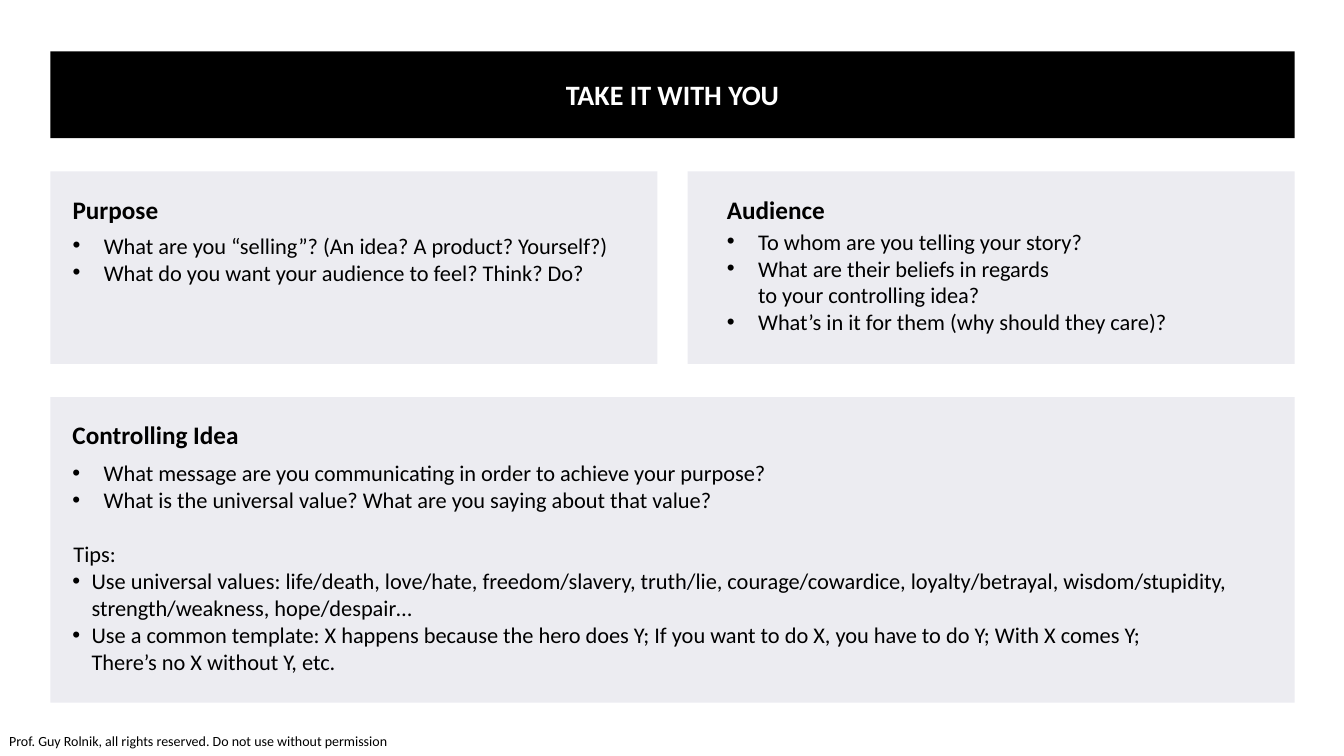
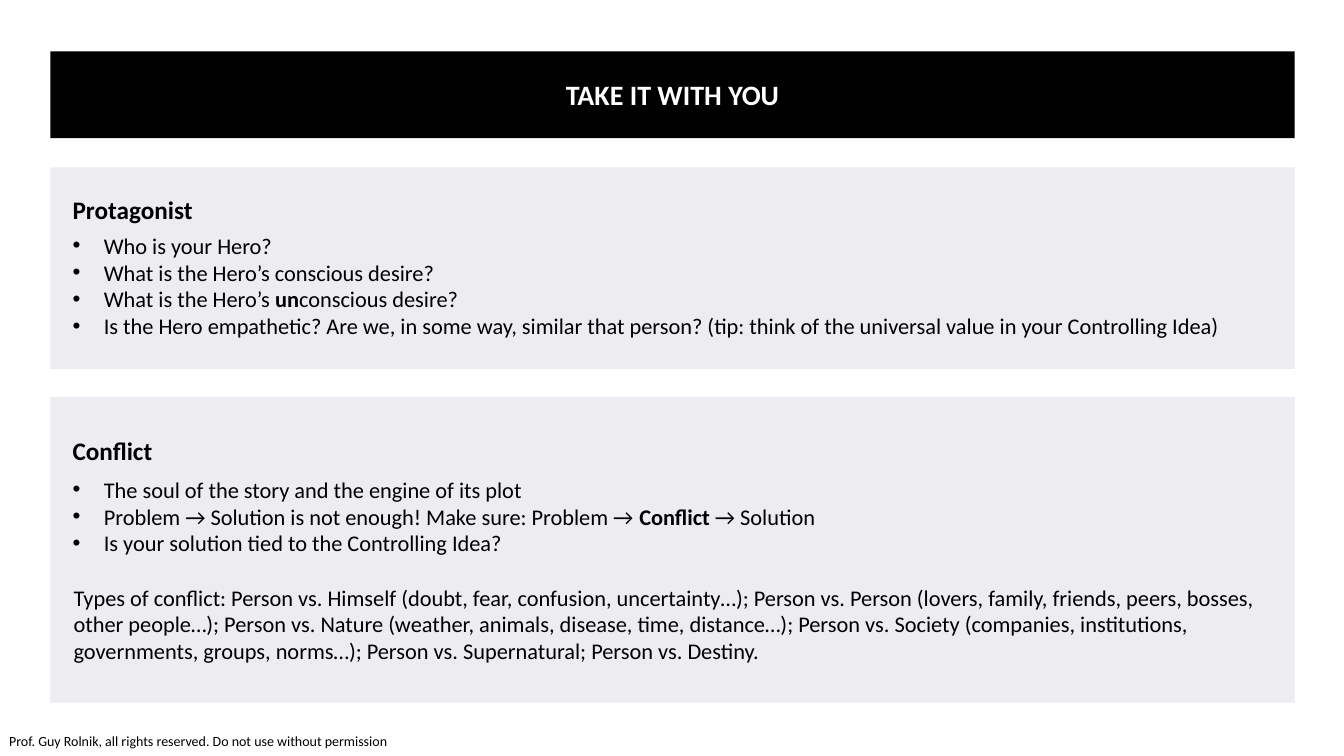
from copy import deepcopy
from dataclasses import dataclass

from lxml import etree
from pptx import Presentation
from pptx.dml.color import RGBColor
from pptx.enum.shapes import MSO_SHAPE
from pptx.enum.text import MSO_ANCHOR, MSO_AUTO_SIZE, PP_ALIGN
from pptx.oxml.ns import qn
from pptx.util import Inches, Pt

RECT = MSO_SHAPE.RECTANGLE
TOP, MIDDLE = MSO_ANCHOR.TOP, MSO_ANCHOR.MIDDLE
LEFT, CENTER = PP_ALIGN.LEFT, PP_ALIGN.CENTER
NO_FIT = MSO_AUTO_SIZE.NONE


@dataclass(frozen=True)
class Theme:
    font: str = "Calibri"
    black: RGBColor = RGBColor(0, 0, 0)
    white: RGBColor = RGBColor(255, 255, 255)
    navy: RGBColor = RGBColor(0x0E, 0x11, 0x54)
    panel_alpha: int = 8
    title: int = 20
    heading: int = 18
    body: int = 16
    footer: int = 10


@dataclass(frozen=True)
class ParaStyle:
    indent: float = 0
    bullet: str = ""
    before: float = 0
    align: PP_ALIGN = LEFT


@dataclass(frozen=True)
class Box:
    x: float
    y: float
    w: float
    h: float


@dataclass(frozen=True)
class Panel:
    box: Box
    heading: str
    items: list
    dx: float = 0.12
    dy: float = 0.18
    gap: float = 0.37


THEME = Theme()
PLAIN = ParaStyle()
CENTERED = ParaStyle(align=CENTER)
QUESTION = ParaStyle(0.31, "•")
TIP = ParaStyle(0.19, "•")
NOTE = ParaStyle(0.01, before=19.5)

MARGIN, FULL_W, GUTTER = 0.5, 12.34, 0.3
HALF_W = (FULL_W - GUTTER) / 2
TITLE_BOX = Box(MARGIN, 0.51, FULL_W, 0.86)
LOWER_BOX = Box(MARGIN, 3.94, FULL_W, 3.03)
FOOTER_BOX = Box(0.04, 7.22, 4.49, 0.27)
TITLE = "TAKE IT WITH YOU"
FOOTER = "Prof. Guy Rolnik, all rights reserved. Do not use without permission"


def place(sp, box):
    sp.left, sp.top = Inches(box.x), Inches(box.y)
    sp.width, sp.height = Inches(box.w), Inches(box.h)


def format_paragraph(p, style):
    pPr = p._p.get_or_add_pPr()
    pPr.set("marL", str(Inches(style.indent)))
    pPr.set("indent", str(-Inches(style.indent) if style.bullet else 0))
    if style.bullet:
        etree.SubElement(pPr, qn("a:buFont")).set("typeface", "Arial")
        etree.SubElement(pPr, qn("a:buChar")).set("char", style.bullet)
    else:
        etree.SubElement(pPr, qn("a:buNone"))
    p.alignment = style.align
    p.line_spacing = 1.0
    p.space_before, p.space_after = Pt(style.before), Pt(0)


def add_run(p, text, size, color, bold):
    r = p.add_run()
    r.text = text
    r.font.name, r.font.size = THEME.font, Pt(size)
    r.font.bold, r.font.color.rgb = bold, color
    return r


def add_text(p, text, size, color, bold):
    for i, part in enumerate(text.split("**")):
        for j, line in enumerate(part.split("\n")):
            if j:
                p.add_line_break()
                p._p[-1].append(deepcopy(r._r.rPr))
            r = add_run(p, line, size, color, bold or i % 2 == 1)


def write(sp, box, items, size, color=THEME.black, bold=False,
          anchor=TOP, inset=0.1):
    place(sp, box)
    tf = sp.text_frame
    tf.word_wrap, tf.auto_size = True, NO_FIT
    tf.vertical_anchor = anchor
    tf.margin_left = tf.margin_right = Inches(inset)
    tf.margin_top = tf.margin_bottom = Inches(0.05)
    for i, (style, text) in enumerate(items):
        p = tf.add_paragraph() if i else tf.paragraphs[0]
        format_paragraph(p, style)
        add_text(p, text, size, color, bold)


def add_textbox(slide):
    return slide.shapes.add_textbox(0, 0, 0, 0)


def add_title(slide):
    sp = slide.shapes.title
    sp.fill.solid()
    sp.fill.fore_color.rgb = THEME.black
    write(sp, TITLE_BOX, [(CENTERED, TITLE)], THEME.title, THEME.white,
          True, MIDDLE)


def add_footer(slide):
    write(add_textbox(slide), FOOTER_BOX, [(PLAIN, FOOTER)], THEME.footer,
          anchor=MIDDLE, inset=0.05)


def add_backdrop(slide, box):
    sp = slide.shapes.add_shape(RECT, 0, 0, 0, 0)
    place(sp, box)
    sp.shadow.inherit = False
    sp.line.fill.background()
    sp.fill.solid()
    sp.fill.fore_color.rgb = THEME.navy
    clr = sp._element.spPr.find(".//" + qn("a:srgbClr"))
    etree.SubElement(clr, qn("a:alpha")).set(
        "val", str(THEME.panel_alpha * 1000))
    slide.shapes._spTree.insert(2, sp._element)


def add_panel(slide, panel, heading_sp, list_sp):
    box = panel.box
    add_backdrop(slide, box)
    x, y = box.x + panel.dx, box.y + panel.dy
    write(heading_sp, Box(x, y, 2.38, 0.4), [(PLAIN, panel.heading)],
          THEME.heading, bold=True)
    top = panel.dy + panel.gap
    write(list_sp,
          Box(x, box.y + top, box.w - panel.dx - 0.23, box.h - top - 0.1),
          panel.items, THEME.body)


def add_panel_slide(prs, panels):
    slide = prs.slides.add_slide(prs.slide_layouts[4])
    add_title(slide)
    holders = [sp for sp in slide.placeholders
               if sp.placeholder_format.idx]
    for i, panel in enumerate(panels):
        pair = holders[2 * i:2 * i + 2] or [
            add_textbox(slide), add_textbox(slide)]
        add_panel(slide, panel, *pair)
    add_footer(slide)


PURPOSE_SLIDE = [
    Panel(Box(MARGIN, 1.7, HALF_W, 1.91), "Purpose", [
        (QUESTION, "What are you “selling”? (An idea? A product? Yourself?)"),
        (QUESTION, "What do you want your audience to feel? Think? Do?"),
    ]),
    Panel(Box(MARGIN + HALF_W + GUTTER, 1.7, HALF_W, 1.91), "Audience", [
        (QUESTION, "To whom are you telling your story?"),
        (QUESTION, "What are their beliefs in regards\n"
                   "to your controlling idea?"),
        (QUESTION, "What’s in it for them (why should they care)?"),
    ], dx=0.29, gap=0.33),
    Panel(LOWER_BOX, "Controlling Idea", [
        (QUESTION, "What message are you communicating in order to achieve "
                   "your purpose?"),
        (QUESTION, "What is the universal value? What are you saying about "
                   "that value?"),
        (NOTE, "Tips:"),
        (TIP, "Use universal values: life/death, love/hate, freedom/slavery, "
              "truth/lie, courage/cowardice, loyalty/betrayal, "
              "wisdom/stupidity,\nstrength/weakness, hope/despair…"),
        (TIP, "Use a common template: X happens because the hero does Y; "
              "If you want to do X, you have to do Y; With X comes Y;\n"
              "There’s no X without Y, etc."),
    ], dy=0.17, gap=0.4),
]

CONFLICT_SLIDE = [
    Panel(Box(MARGIN, 1.66, FULL_W, 2), "Protagonist", [
        (QUESTION, "Who is your Hero?"),
        (QUESTION, "What is the Hero’s conscious desire?"),
        (QUESTION, "What is the Hero’s **un**conscious desire?"),
        (QUESTION, "Is the Hero empathetic? Are we, in some way, similar that "
                   "person? (tip: think of the universal value in your "
                   "Controlling Idea)"),
    ], dy=0.22),
    Panel(LOWER_BOX, "Conflict", [
        (QUESTION, "The soul of the story and the engine of its plot"),
        (QUESTION, "Problem → Solution is not enough! Make sure: Problem → "
                   "**Conflict** → Solution"),
        (QUESTION, "Is your solution tied to the Controlling Idea?"),
        (NOTE, "Types of conflict: Person vs. Himself (doubt, fear, "
               "confusion, uncertainty…); Person vs. Person (lovers, family, "
               "friends, peers, bosses, other people…); Person vs. Nature "
               "(weather, animals, disease, time, distance…); Person vs. "
               "Society (companies, institutions, governments, groups, "
               "norms…); Person vs. Supernatural; Person vs. Destiny."),
    ], dy=0.33, gap=0.4),
]


def main():
    prs = Presentation()
    prs.slide_width, prs.slide_height = Inches(13.33), Inches(7.5)
    for panels in (PURPOSE_SLIDE, CONFLICT_SLIDE):
        add_panel_slide(prs, panels)
    prs.save("out.pptx")


if __name__ == "__main__":
    main()
